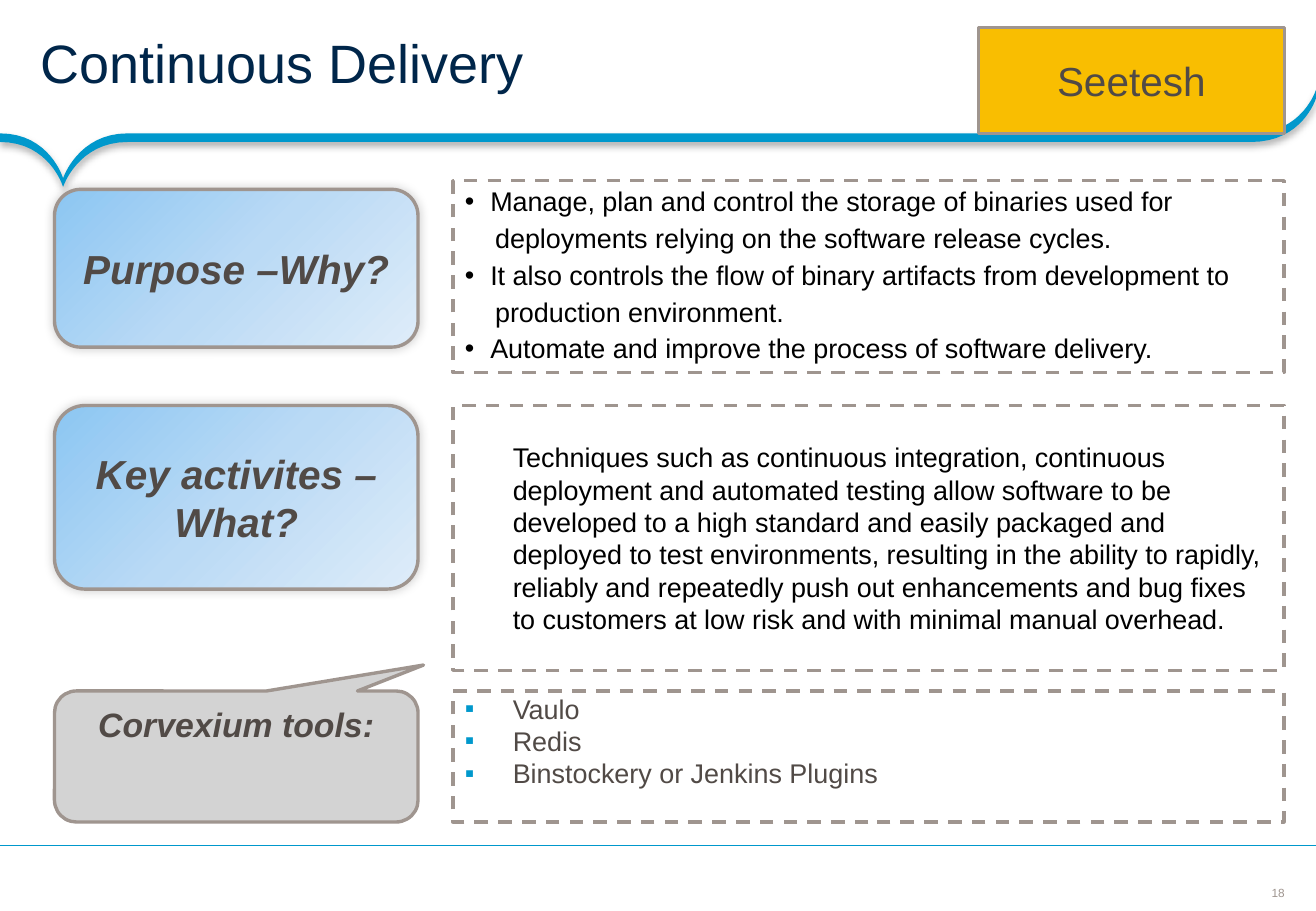
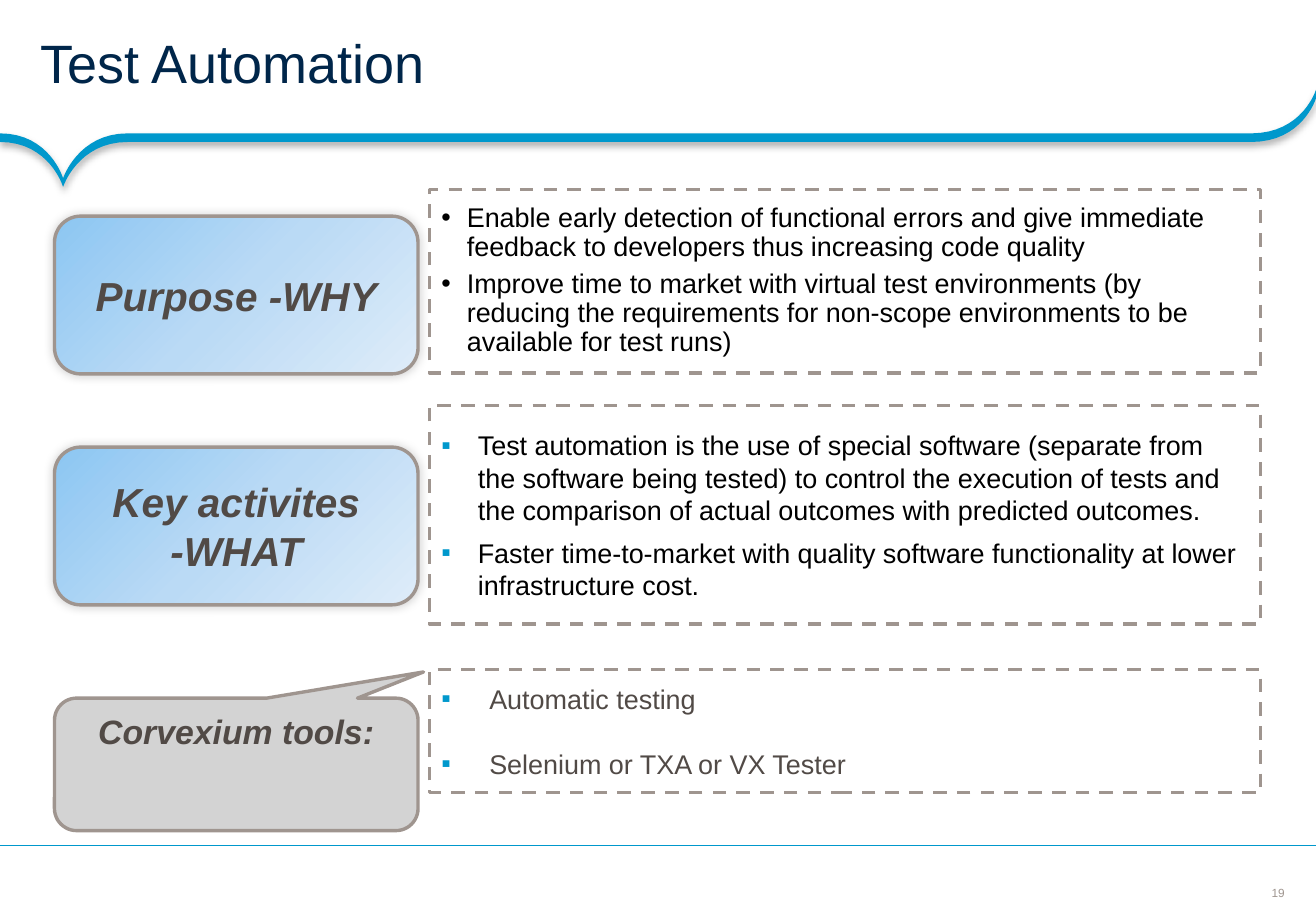
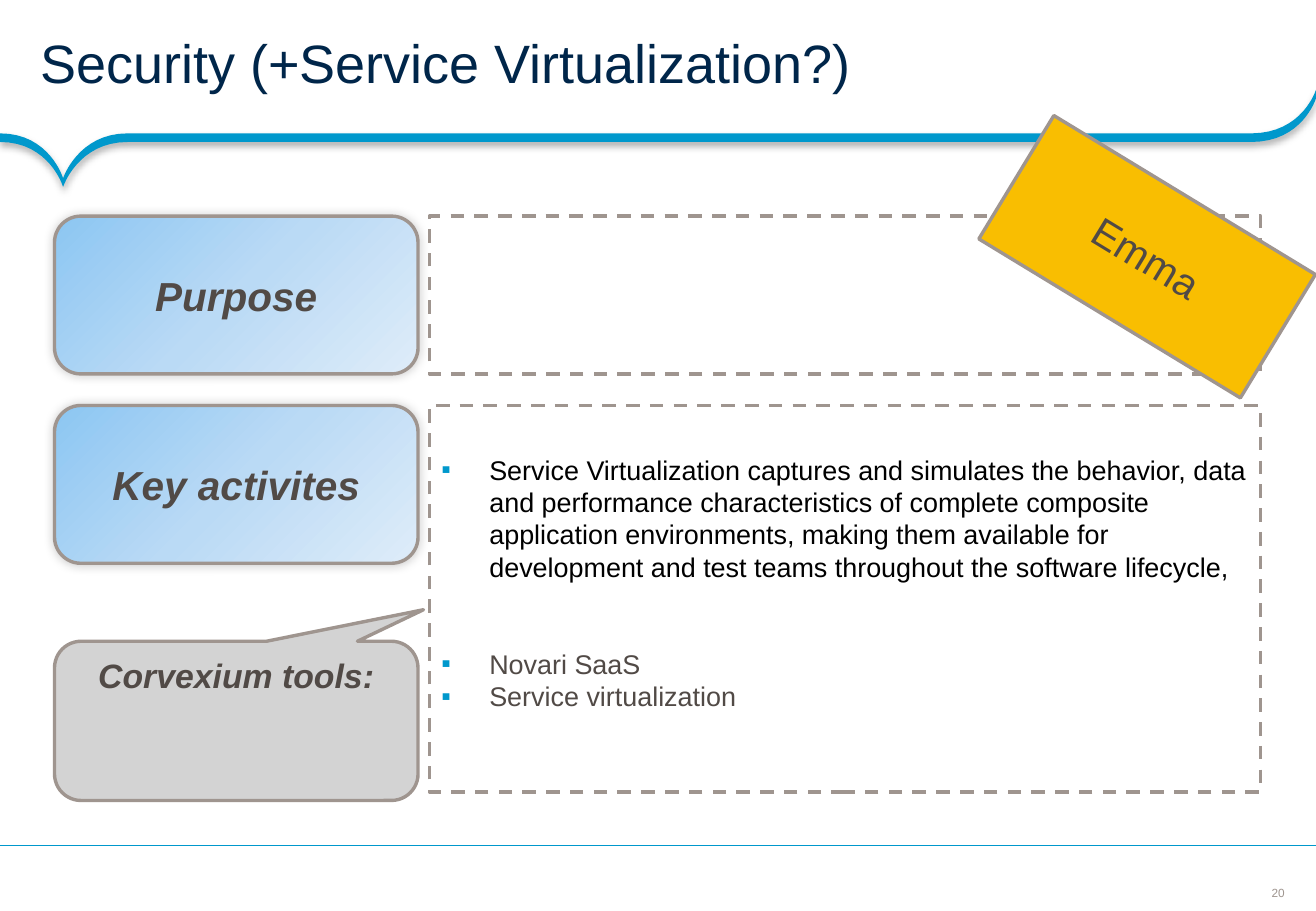
from dataclasses import dataclass
from functools import partial

from lxml import etree
from pptx import Presentation
from pptx import util as u
from pptx.dml.color import RGBColor
from pptx.enum import dml, shapes, text
from pptx.oxml.ns import qn

Cm, Pt = u.Cm, u.Pt
WIDTH, HEIGHT = 27.51, 19.05
FONT = "Arial"
BLUE, NAVY, TAUPE, BROWN = "0098CC", "00264A", "9F958F", "514A46"
BLACK, WHITE, GREY, YELLOW = "000000", "FFFFFF", "D3D3D3", "F9BE01"
LABEL_STOPS = [(0, "8CC6F2"), (50, "BADAF5"), (100, "DEECF9")]
LABEL_X, LABEL_W = 1.14, 7.6
PANEL_W = 17.37
LINE = 19.2  # height in points of one line of 16 pt text


@dataclass
class Para:
    text: str
    indent: float = 1
    bullet: str = ""
    color: str = BLACK
    before: float = 0
    after: float = 0
    spacing: float = 1


dot = partial(Para, indent=0.53, bullet="•", before=4.5, spacing=0.9)
dot_continued = partial(Para, indent=0.63, before=4.5, spacing=0.9)
square = partial(Para, bullet="▪")
tool = partial(square, color=BROWN)


def rgb(value):
    return RGBColor.from_string(value)


def sub(parent, tag, **attrs):
    return etree.SubElement(parent, qn(tag), {k: str(v) for k, v in attrs.items()})


def set_font(p, size, color, bold=None, italic=None):
    f = p.font
    f.name, f.size, f.bold, f.italic = FONT, Pt(size), bold, italic
    f.color.rgb = rgb(color)


def add_shadow(sp, alpha, blur, dist, angle):
    sp.shadow.inherit = False
    effects = sp.element.spPr.find(qn("a:effectLst"))
    shadow = sub(effects, "a:outerShdw", blurRad=Pt(blur), dist=Pt(dist),
                 dir=angle * 60000, algn="ctr", rotWithShape=0)
    sub(sub(shadow, "a:srgbClr", val=BLACK), "a:alpha", val=alpha * 1000)


def fill_gradient(sp, stops):
    """Fill from top left to bottom right with stops of (percent, colour)."""
    sp.fill.gradient()
    sp.fill.gradient_angle = 315
    gs_list = sp.element.spPr.find(".//" + qn("a:gsLst"))
    for old in list(gs_list):
        gs_list.remove(old)
    for percent, color in stops:
        sub(sub(gs_list, "a:gs", pos=percent * 1000), "a:srgbClr", val=color)


def add_box(slide, kind, box, fill=None):
    sp = slide.shapes.add_shape(kind, *map(Cm, box))
    sp.shadow.inherit = False
    if fill:
        sp.fill.solid()
        sp.fill.fore_color.rgb = rgb(fill)
    sp.line.color.rgb = rgb(TAUPE)
    sp.line.width = Pt(2)
    return sp


def write_centred(sp, words, size, bold=None, anchor=text.MSO_ANCHOR.MIDDLE):
    tf = sp.text_frame
    tf.word_wrap, tf.vertical_anchor = True, anchor
    p = tf.paragraphs[0]
    p.text, p.alignment = words, text.PP_ALIGN.CENTER
    set_font(p, size, BROWN, bold, bold)


def add_label(slide, words, top, height=3.3):
    sp = add_box(slide, shapes.MSO_SHAPE.ROUNDED_RECTANGLE,
                 (LABEL_X, top, LABEL_W, height))
    fill_gradient(sp, LABEL_STOPS)
    add_shadow(sp, 20, 6, 0, 225)
    write_centred(sp, words, 24, True)


def add_tools_callout(slide, top, height):
    sp = add_box(slide, shapes.MSO_SHAPE.ROUNDED_RECTANGULAR_CALLOUT,
                 (LABEL_X, top, LABEL_W, height), GREY)
    for i, value in enumerate((0.515, -0.698, 0.167)):
        sp.adjustments[i] = value
    write_centred(sp, "Corvexium tools:", 20, True, text.MSO_ANCHOR.TOP)


def add_name_tag(slide, name, box, rotation=0):
    sp = add_box(slide, shapes.MSO_SHAPE.RECTANGLE, box, YELLOW)
    sp.rotation = rotation
    write_centred(sp, name, 24)


def add_panel(slide, left, top, height, paras=(), inset_top=0.13, inset_bottom=0.13):
    sp = add_box(slide, shapes.MSO_SHAPE.RECTANGLE,
                 (left, top, PANEL_W, height), WHITE)
    sp.line.dash_style = dml.MSO_LINE.DASH
    tf = sp.text_frame
    tf.word_wrap, tf.vertical_anchor = True, text.MSO_ANCHOR.MIDDLE
    tf.margin_top, tf.margin_bottom = Cm(inset_top), Cm(inset_bottom)
    for i, para in enumerate(paras):
        p = tf.add_paragraph() if i else tf.paragraphs[0]
        write_para(p, para, first=i == 0)


def write_para(p, para, first):
    p.text, p.alignment = para.text, text.PP_ALIGN.LEFT
    pPr = p._p.get_or_add_pPr()
    pPr.set("marL", str(Cm(para.indent)))
    pPr.set("indent", str(-Cm(para.indent) if para.bullet else 0))
    if para.bullet:
        color = BLUE if para.bullet == "▪" else BLACK
        sub(sub(pPr, "a:buClr"), "a:srgbClr", val=color)
        sub(pPr, "a:buFont", typeface=FONT)
        sub(pPr, "a:buChar", char=para.bullet)
    else:
        sub(pPr, "a:buNone")
    p.line_spacing = para.spacing
    if para.before and not first:
        p.space_before = Pt(para.before)
    if para.after:
        p.space_after = Pt(para.after)
    set_font(p, 16, para.color)


def curve(flat, control, tip, steps=16):
    """Points of a Bezier curve that leaves flat and ends in tip."""
    points = []
    for i in range(steps + 1):
        t = i / steps
        a, b = (1 - t) ** 3, 3 * (1 - t) ** 2 * t
        points.append(tuple(a * f + b * c + (1 - a - b) * e
                            for f, c, e in zip(flat, control, tip)))
    return points


def band_edge(y):
    tip = (1.32, y + 0.94)
    return (curve((0, y), (1.04, y), tip)
            + curve((2.67, y), (1.63, y), tip)[::-1]
            + curve((26.16, y), (27.23, y), (WIDTH, y - 0.91)))


def add_shared_parts(slide):
    """Draw the header band and footer rule, and move them to the layout."""
    outline = band_edge(2.79) + band_edge(2.97)[::-1]
    points = [(Cm(x), Cm(y)) for x, y in outline]
    builder = slide.shapes.build_freeform(*points[0])
    builder.add_line_segments(points[1:], close=True)
    band = builder.convert_to_shape()
    band.fill.solid()
    band.fill.fore_color.rgb = rgb(BLUE)
    band.line.fill.background()
    add_shadow(band, 31, 4, 2, 90)

    rule = slide.shapes.add_connector(shapes.MSO_CONNECTOR.STRAIGHT,
                                      0, Cm(17.68), Cm(WIDTH), Cm(17.68))
    rule.line.color.rgb = rgb(BLUE)
    rule.line.width = Pt(0.75)
    sub(rule.element.spPr, "a:effectLst")

    for new_id, part in enumerate((band, rule), 20):
        part.element.xpath(".//p:cNvPr")[0].set("id", str(new_id))
        slide.slide_layout.shapes.element.append(part.element)


def add_slide(prs, title, number):
    slide = prs.slides.add_slide(prs.slide_layouts[5])
    sp = slide.shapes.title
    sp.left, sp.top, sp.width, sp.height = 0, 0, Cm(WIDTH), Cm(2.79)
    tf = sp.text_frame
    tf.auto_size, tf.word_wrap = text.MSO_AUTO_SIZE.NONE, True
    tf.vertical_anchor = text.MSO_ANCHOR.MIDDLE
    tf.margin_left, tf.margin_right = Cm(0.84), Cm(0.46)
    tf.margin_top = tf.margin_bottom = Cm(0.1)
    p = tf.paragraphs[0]
    p.text, p.alignment, p.line_spacing = title, text.PP_ALIGN.LEFT, 0.85
    set_font(p, 32, NAVY)

    tf = slide.shapes.add_textbox(Cm(26.57), Cm(18.52), Cm(0.3), Cm(0.3)).text_frame
    tf.margin_left = tf.margin_right = tf.margin_top = tf.margin_bottom = 0
    tf.word_wrap, tf.vertical_anchor = False, text.MSO_ANCHOR.MIDDLE
    p = tf.paragraphs[0]
    p.text, p.alignment = str(number), text.PP_ALIGN.CENTER
    set_font(p, 7, TAUPE)
    return slide


def add_delivery_slide(prs):
    s = add_slide(prs, "Continuous Delivery", 18)
    add_shared_parts(s)
    add_label(s, "Purpose –Why?", 3.96)
    add_label(s, "Key activites –What?", 8.48, 3.84)
    add_tools_callout(s, 14.45, 2.74)
    left = 9.47
    add_panel(s, left, 3.78, 4.01, [
        dot("Manage, plan and control the storage of binaries used for"),
        dot_continued("deployments relying on the software release cycles."),
        dot("It also controls the flow of binary artifacts from development to"),
        dot_continued("production environment."),
        dot("Automate and improve the process of software delivery."),
    ])
    add_panel(s, left, 8.48, 5.54, [Para(
        "Techniques such as continuous integration, continuous deployment and "
        "automated testing allow software to be developed to a high standard and "
        "easily packaged and deployed to test environments, resulting in the "
        "ability to rapidly, reliably and repeatedly push out enhancements and "
        "bug fixes to customers at low risk and with minimal manual overhead.")])
    add_panel(s, left, 14.45, 2.74, [
        tool("Vaulo"), tool("Redis"), tool("Binstockery or Jenkins Plugins"),
    ], inset_top=0, inset_bottom=0.66)
    add_name_tag(s, "Seetesh", (20.45, 0.58, 6.4, 2.21))


def add_testing_slide(prs):
    s = add_slide(prs, "Test Automation", 19)
    add_label(s, "Purpose -WHY", 4.52)
    add_label(s, "Key activites -WHAT", 9.35)
    left = 8.98
    add_panel(s, left, 3.96, 3.84, [
        dot("Enable early detection of functional errors and give immediate "
            "feedback to developers thus increasing code quality"),
        dot("Improve time to market with virtual test environments (by reducing "
            "the requirements for non-scope environments to be available for "
            "test runs)"),
    ])
    activity = partial(square, indent=0.76, before=3, after=3)
    add_panel(s, left, 8.48, 4.57, [
        activity("Test automation is the use of special software (separate from "
                 "the software being tested) to control the execution of tests "
                 "and the comparison of actual outcomes with predicted outcomes."),
        activity("Faster time-to-market with quality software functionality at "
                 "lower infrastructure cost."),
    ])
    add_panel(s, left, 14, 2.58, [
        tool("Automatic testing"),
        tool("Selenium or TXA or VX Tester", before=LINE),
    ])
    add_tools_callout(s, 14.6, 2.77)


def add_security_slide(prs):
    s = add_slide(prs, "Security (+Service Virtualization?)", 20)
    add_label(s, "Purpose", 4.52)
    add_label(s, "Key activites", 8.48)
    left = 8.98
    add_panel(s, left, 4.52, 3.3)
    add_panel(s, left, 8.48, 8.08, [
        square("Service Virtualization captures and simulates the behavior, data "
               "and performance characteristics of complete composite application "
               "environments, making them available for development and test "
               "teams throughout the software lifecycle,"),
        tool("Novari SaaS", before=2 * LINE),
        tool("Service virtualization"),
    ], inset_bottom=0.8)
    add_tools_callout(s, 13.41, 3.33)
    add_name_tag(s, "Emma", (20.78, 3.86, 6.4, 3.02), 31.3)


def main():
    prs = Presentation()
    prs.slide_width, prs.slide_height = Cm(WIDTH), Cm(HEIGHT)
    add_delivery_slide(prs)
    add_testing_slide(prs)
    add_security_slide(prs)
    prs.save("out.pptx")


if __name__ == "__main__":
    main()
